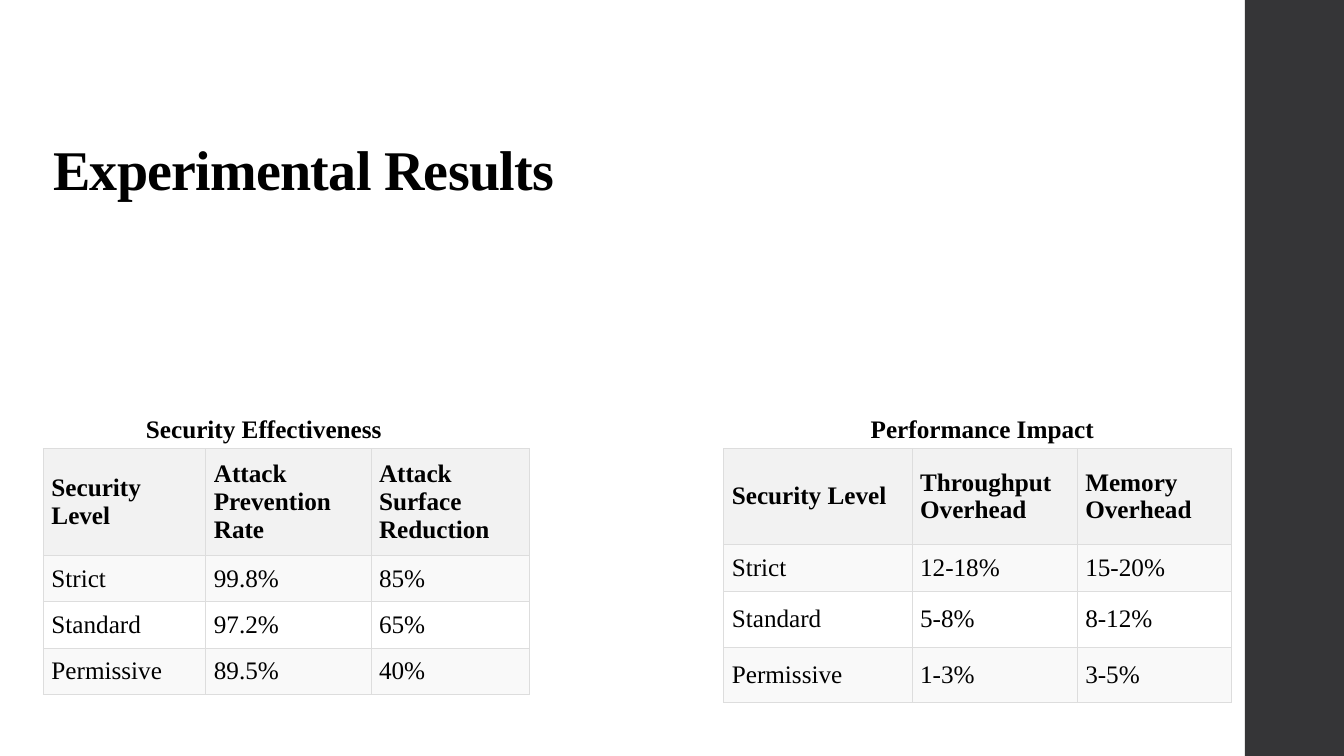
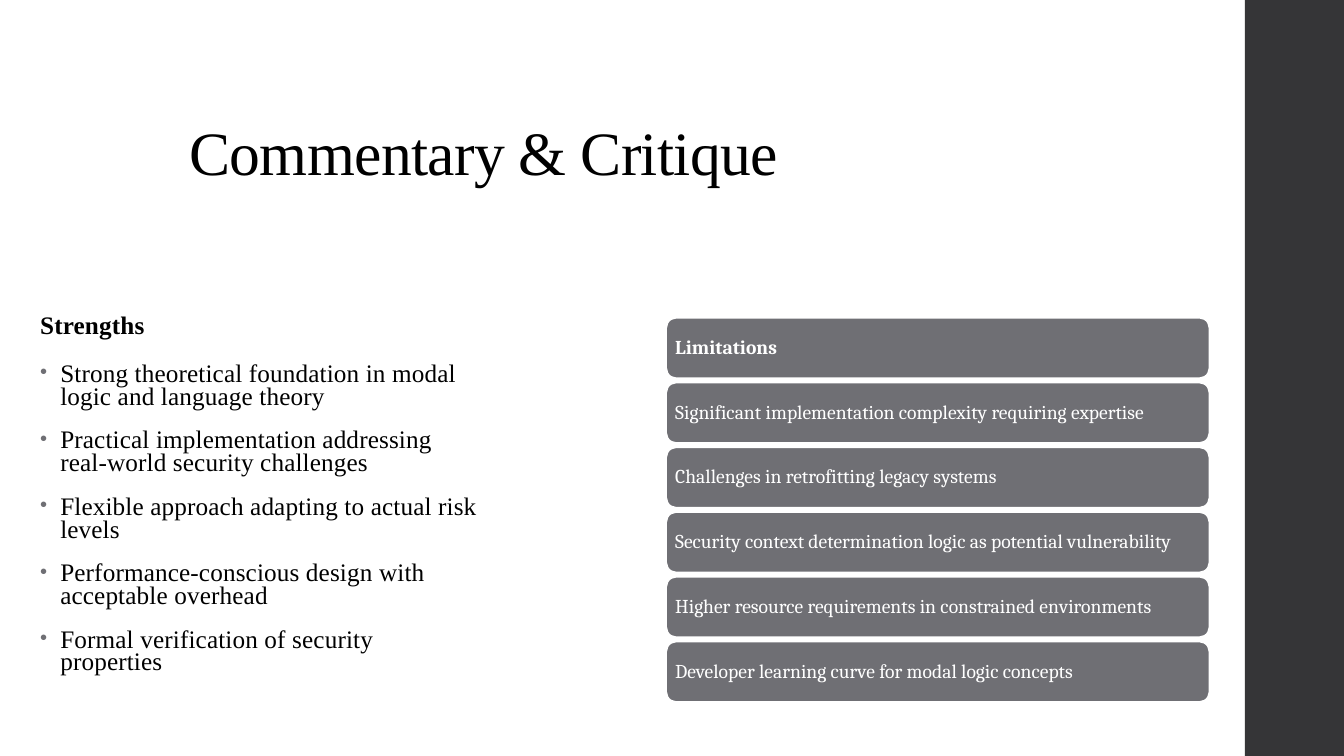
from dataclasses import dataclass
from typing import Any

from lxml.etree import SubElement
from pptx import Presentation
from pptx.dml.color import RGBColor
from pptx.enum.shapes import MSO_SHAPE as Shape
from pptx.enum.text import MSO_ANCHOR as Anchor
from pptx.oxml.ns import qn
from pptx.util import Pt

BLACK = RGBColor(0x00, 0x00, 0x00)
WHITE = RGBColor(0xFF, 0xFF, 0xFF)
BAND = RGBColor(0x35, 0x35, 0x37)
GRAY = RGBColor(0x6F, 0x6F, 0x74)
BORDER = RGBColor(0xDD, 0xDD, 0xDD)
HEADER_FILL = RGBColor(0xF2, 0xF2, 0xF2)
STRIPE_FILL = RGBColor(0xF9, 0xF9, 0xF9)

SERIF = "Times New Roman"
BODY = {"name": SERIF, "size": Pt(18), "bold": False}
STRONG = BODY | {"bold": True}
CHIP = {"name": "Cambria", "size": Pt(14), "bold": False}
CELL_INSET = 5.76
TABLE_TOP = 320.4
CHIP_HEIGHT, CHIP_PITCH = 43.2, 46.25


@dataclass(frozen=True)
class Box:
    left: float
    top: float
    width: float
    height: float

    def emu(self) -> tuple[Pt, Pt, Pt, Pt]:
        return Pt(self.left), Pt(self.top), Pt(self.width), Pt(self.height)


@dataclass(frozen=True)
class ResultTable:
    caption: str
    caption_box: Box
    left: float
    columns: tuple[float, ...]
    heights: tuple[float, ...]
    rows: tuple[tuple[str, ...], ...]


RESULTS = (
    ResultTable(
        "Security Effectiveness", Box(97.2, 291.6, 185, 29), 31,
        (116, 118, 113), (71.5, 32, 32, 32),
        (("Security Level", "Attack Prevention Rate", "Attack Surface Reduction"),
         ("Strict", "99.8%", "85%"),
         ("Standard", "97.2%", "65%"),
         ("Permissive", "89.5%", "40%")),
    ),
    ResultTable(
        "Performance Impact", Box(614.9, 292, 175.7, 29), 517,
        (134.5, 118, 110.5), (68.4, 33.8, 39.6, 39.6),
        (("Security Level", "Throughput Overhead", "Memory Overhead"),
         ("Strict", "12-18%", "15-20%"),
         ("Standard", "5-8%", "8-12%"),
         ("Permissive", "1-3%", "3-5%")),
    ),
)

STRENGTHS = (
    "Strong theoretical foundation in modal logic and language theory",
    "Practical implementation addressing real-world security challenges",
    "Flexible approach adapting to actual risk levels",
    "Performance-conscious design with acceptable overhead",
    "Formal verification of security properties",
)

LIMITATIONS = (
    "Significant implementation complexity requiring expertise",
    "Challenges in retrofitting legacy systems",
    "Security context determination logic as potential vulnerability",
    "Higher resource requirements in constrained environments",
    "Developer learning curve for modal logic concepts",
)


def set_all(target: Any, values: dict[str, Any]) -> None:
    for name, value in values.items():
        setattr(target, name, value)


def add_run(p: Any, text: str, font: dict[str, Any],
            color: RGBColor = BLACK, tracking: int = 0) -> None:
    """Add styled text; tracking is in hundredths of a point."""
    r = p.add_run()
    r.text = text
    set_all(r.font, font)
    r.font.color.rgb = color
    if tracking:
        r.font._element.set("spc", str(tracking))


def add_text_box(s: Any, box: Box, wrap: bool = True) -> Any:
    tf = s.shapes.add_textbox(*box.emu()).text_frame
    tf.word_wrap = wrap
    return tf


def add_filled(s: Any, kind: Shape, box: Box, color: RGBColor) -> Any:
    sp = s.shapes.add_shape(kind, *box.emu())
    sp.shadow.inherit = False
    sp.fill.solid()
    sp.fill.fore_color.rgb = color
    sp.line.fill.background()
    return sp


def add_slide(prs: Any, title: str, box: Box, size: float, bold: bool) -> Any:
    """Add a slide with the dark side band and its title."""
    s = prs.slides.add_slide(prs.slide_layouts[6])
    add_filled(s, Shape.RECTANGLE, Box(889.2, 0, 70.8, 540), BAND)
    tf = add_text_box(s, box)
    tf.vertical_anchor = Anchor.BOTTOM
    p = tf.paragraphs[0]
    p.line_spacing = 0.9
    add_run(p, title, {"name": SERIF, "size": Pt(size), "bold": bold}, tracking=-50)
    return s


def add_borders(cell: Any) -> None:
    tc_pr = cell._tc.get_or_add_tcPr()
    for index, side in enumerate(("lnL", "lnR", "lnT", "lnB")):
        line = SubElement(tc_pr, qn(f"a:{side}"), w=str(Pt(0.75)))
        fill = SubElement(line, qn("a:solidFill"))
        SubElement(fill, qn("a:srgbClr"), val=str(BORDER))
        tc_pr.insert(index, line)


def add_result_table(s: Any, result: ResultTable) -> None:
    box = Box(result.left, TABLE_TOP, sum(result.columns), sum(result.heights))
    table = s.shapes.add_table(
        len(result.rows), len(result.columns), *box.emu()).table
    table.first_row = table.horz_banding = False
    for column, width in zip(table.columns, result.columns):
        column.width = Pt(width)
    for i, (row, height) in enumerate(zip(table.rows, result.heights)):
        row.height = Pt(height)
        for cell, text in zip(row.cells, result.rows[i]):
            sides = ("left", "right", "top", "bottom")
            set_all(cell, {f"margin_{side}": Pt(CELL_INSET) for side in sides})
            cell.vertical_anchor = Anchor.MIDDLE
            cell.fill.solid()
            stripe = STRIPE_FILL if i % 2 else WHITE
            cell.fill.fore_color.rgb = stripe if i else HEADER_FILL
            add_borders(cell)
            add_run(cell.text_frame.paragraphs[0], text, BODY if i else STRONG)
    caption = add_text_box(s, result.caption_box, wrap=False)
    add_run(caption.paragraphs[0], result.caption, STRONG)


def add_bullet(p: Any) -> None:
    p_pr = p._p.get_or_add_pPr()
    set_all_xml = {"marL": str(Pt(14.4)), "indent": str(-Pt(14.4))}
    p_pr.attrib.update(set_all_xml)
    color = SubElement(p_pr, qn("a:buClr"))
    SubElement(color, qn("a:srgbClr"), val=str(GRAY))
    SubElement(p_pr, qn("a:buSzPct"), val="80000")
    SubElement(p_pr, qn("a:buFont"), typeface="Arial")
    SubElement(p_pr, qn("a:buChar"), char="•")


def add_strengths(s: Any) -> None:
    tf = add_text_box(s, Box(21.6, 222.5, 329, 298.8))
    p = tf.paragraphs[0]
    set_all(p, {"line_spacing": 0.75, "space_after": Pt(9)})
    add_run(p, "Strengths", STRONG, tracking=10)
    for text in STRENGTHS:
        p = tf.add_paragraph()
        add_bullet(p)
        set_all(p, {"line_spacing": 0.75, "space_before": Pt(9), "space_after": Pt(6)})
        add_run(p, text, BODY, tracking=10)


def add_limitations(s: Any) -> None:
    for i, text in enumerate(("Limitations", *LIMITATIONS)):
        box = Box(475.9, 227 + i * CHIP_PITCH, 388, CHIP_HEIGHT)
        sp = add_filled(s, Shape.ROUNDED_RECTANGLE, box, GRAY)
        sp.line.color.rgb = WHITE
        sp.line.width = Pt(1.1)
        tf = sp.text_frame
        set_all(tf, {"word_wrap": True, "vertical_anchor": Anchor.MIDDLE,
                     "margin_left": Pt(4.3), "margin_right": Pt(4.3)})
        p = tf.paragraphs[0]
        p.line_spacing = 0.9
        p.alignment = 1
        add_run(p, text, CHIP | {"bold": i == 0}, WHITE)


def main() -> None:
    prs = Presentation()
    prs.slide_width, prs.slide_height = Pt(960), Pt(540)

    s = add_slide(prs, "Experimental Results", Box(31, 44, 828, 104.4), 40, True)
    for result in RESULTS:
        add_result_table(s, result)

    s = add_slide(prs, "Commentary & Critique", Box(128.2, 39.6, 735.8, 98.6), 44, False)
    add_strengths(s)
    add_limitations(s)

    prs.save("out.pptx")


if __name__ == "__main__":
    main()
